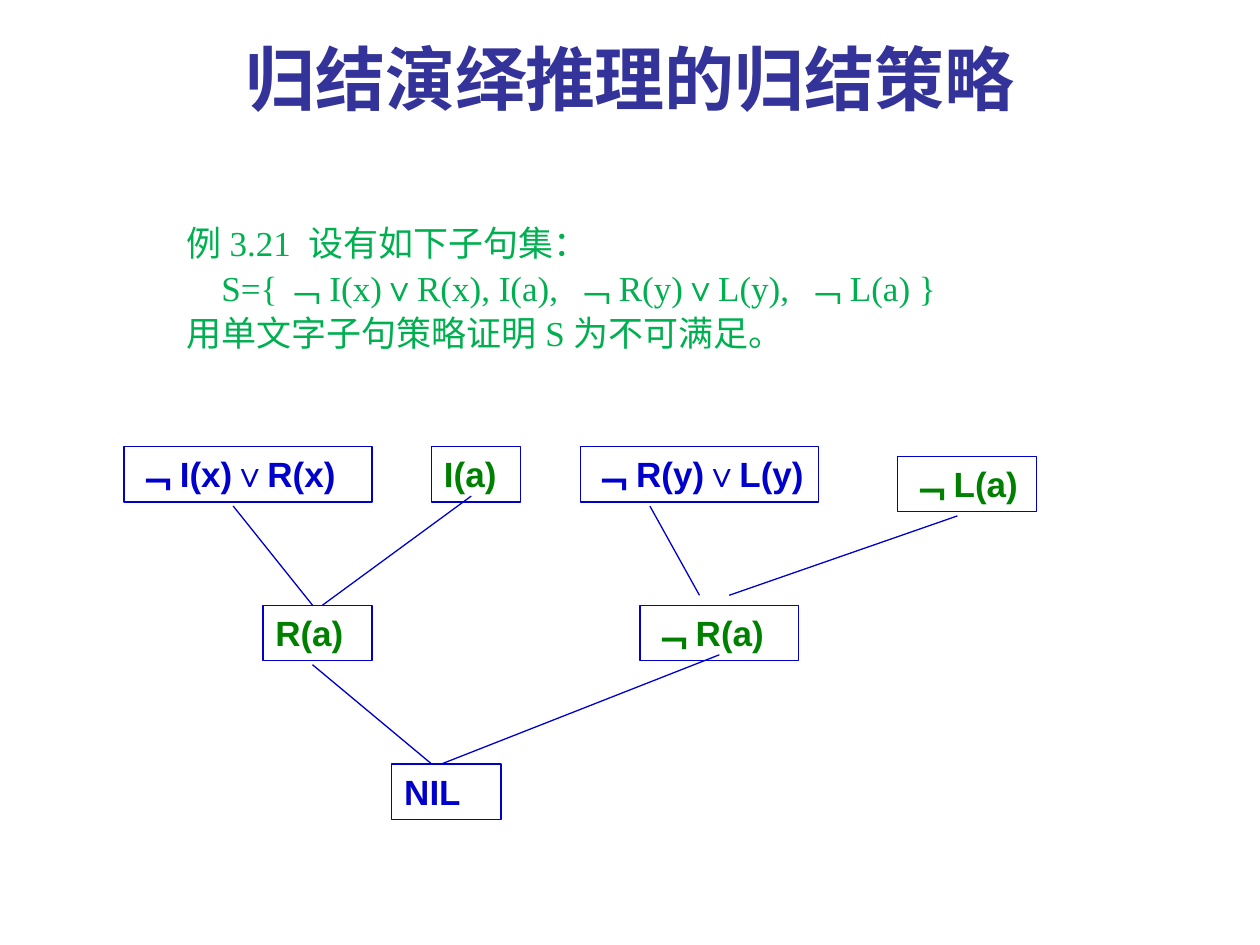
from lxml.etree import SubElement
from pptx import Presentation
from pptx.dml.color import RGBColor
from pptx.enum.shapes import MSO_CONNECTOR, MSO_SHAPE
from pptx.enum.text import MSO_ANCHOR, PP_ALIGN
from pptx.oxml.ns import qn
from pptx.util import Inches, Pt

BLUE, GREEN = "0000CC", "008000"
SERIF, SANS, HAN = "Times New Roman", "Arial", "Noto Sans CJK SC"
CELL = Inches(10) / 127
CLAUSE_ROWS = 5.6

CLAUSES = [
    (0, 0, 25, "﹁I(x)∨R(x)", BLUE),
    (31, 0, 9, "I(a)", GREEN),
    (46, 0, 24, "﹁R(y)∨L(y)", BLUE),
    (78, 1, 14, "﹁L(a)", GREEN),
    (14, 16, 11, "R(a)", GREEN),
    (52, 16, 16, "﹁R(a)", GREEN),
    (27, 32, 11, "NIL", BLUE),
]
RESOLUTIONS = [
    (11, 6, 19, 16),
    (35, 5, 20, 16),
    (53, 6, 58, 15),
    (84, 7, 61, 15),
    (19, 22, 31, 32),
    (60, 21, 32, 32),
]
PROBLEM = [
    ("例3.21 设有如下子句集：", 0.88),
    ("S={﹁I(x)∨R(x), I(a), ﹁R(y)∨L(y), ﹁L(a) }", 1.16),
    ("用单文字子句策略证明S为不可满足。", 0.88),
]


def rgb(code):
    return RGBColor.from_string(code)


def style(font, name, size, color, bold=False):
    font.name, font.size, font.bold = name, Pt(size), bold
    font.color.rgb = rgb(color)


def add_title(slide, left, top, width, height):
    frame = slide.shapes.add_textbox(left, top, width, height).text_frame
    frame.word_wrap = True
    frame.vertical_anchor = MSO_ANCHOR.MIDDLE
    heading = frame.paragraphs[0]
    heading.text = "归结演绎推理的归结策略"
    heading.alignment = PP_ALIGN.CENTER
    style(heading.font, SERIF, 40, "333399", True)


def add_problem(slide, left, top, width, height):
    frame = slide.shapes.add_textbox(left, top, width, height).text_frame
    frame.word_wrap = True
    for index, (sentence, indent) in enumerate(PROBLEM):
        line = frame.add_paragraph() if index else frame.paragraphs[0]
        line.text = sentence
        line.line_spacing = 0.9
        line.space_before = Pt(4 if index else 0)
        line._p.get_or_add_pPr().set("marL", str(Inches(indent)))
        style(line.font, SERIF, 20, "00B050")


def add_clause(slide, left, top, width, height, clause, color):
    box = slide.shapes.add_shape(MSO_SHAPE.RECTANGLE, left, top, width, height)
    box.shadow.inherit = False
    box.fill.background()
    box.line.color.rgb = rgb(BLUE)
    box.line.width = Pt(0.75)
    frame = box.text_frame
    frame.word_wrap = True
    frame.vertical_anchor = MSO_ANCHOR.TOP
    label = frame.paragraphs[0]
    label.alignment = PP_ALIGN.LEFT
    style(label.font, SANS, 20, color, True)
    if clause == "﹁R(a)":
        negation = label.add_run()
        negation.text, clause = clause[0], clause[1:]
        negation.font.name = HAN
    label.add_run().text = clause


def add_resolution(slide, *ends):
    edge = slide.shapes.add_connector(MSO_CONNECTOR.STRAIGHT, *ends)
    edge.line.color.rgb = rgb(BLUE)
    edge.line.width = Pt(0.75)
    SubElement(edge._element.spPr, qn("a:effectLst"))


def add_tree(slide, left, top):
    def x(column):
        return round(left + column * CELL)

    def y(row):
        return round(top + row * CELL)

    for column, row, columns, clause, color in CLAUSES:
        add_clause(slide, x(column), y(row), round(columns * CELL),
                   round(CLAUSE_ROWS * CELL), clause, color)
    for start_column, start_row, end_column, end_row in RESOLUTIONS:
        add_resolution(slide, x(start_column), y(start_row), x(end_column), y(end_row))


def main():
    deck = Presentation()
    deck.slide_width, deck.slide_height = Inches(10), Inches(7.5)
    slide = deck.slides.add_slide(deck.slide_layouts[6])
    margin = round(deck.slide_width * 0.05)
    content = deck.slide_width - 2 * margin
    add_problem(slide, margin, Inches(1.75), content, round(deck.slide_height * 0.66))
    add_tree(slide, 12.5 * CELL, 45 * CELL)
    add_title(slide, margin, 0, content, Inches(1.23))
    deck.save("out.pptx")


if __name__ == "__main__":
    main()
